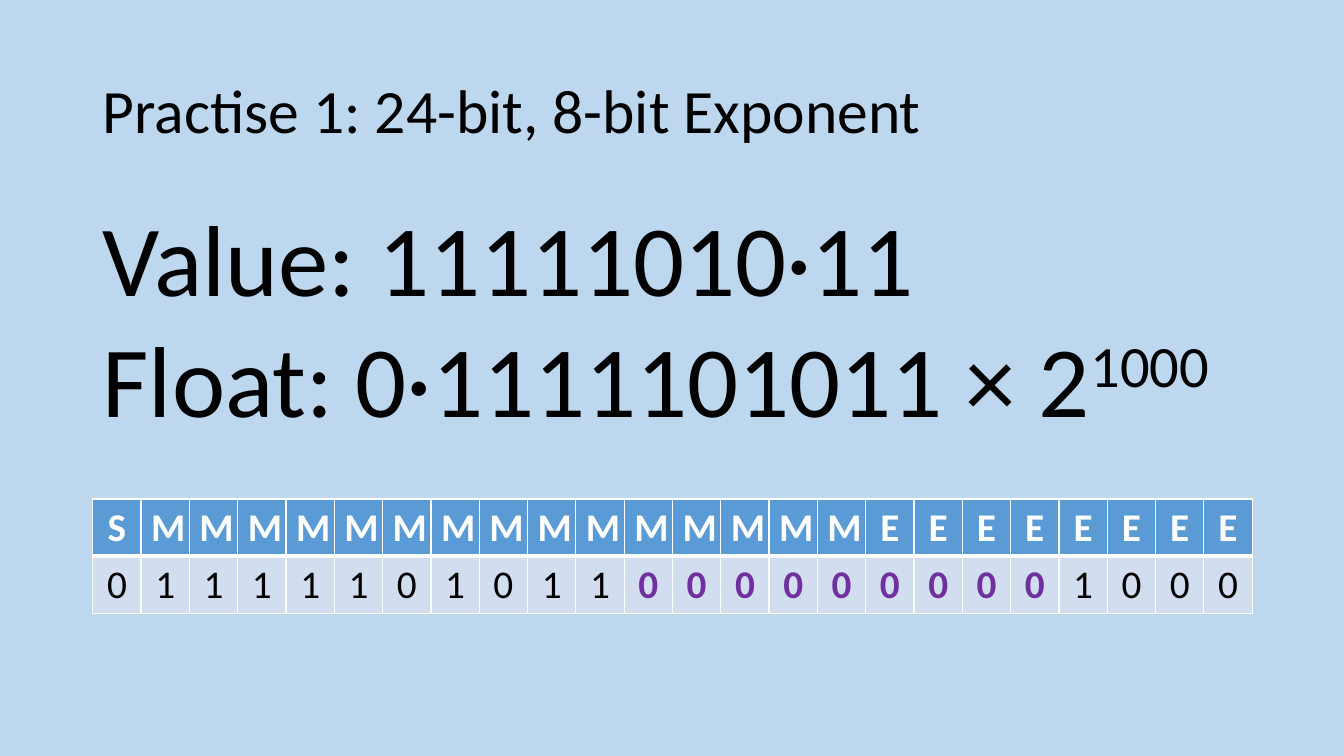
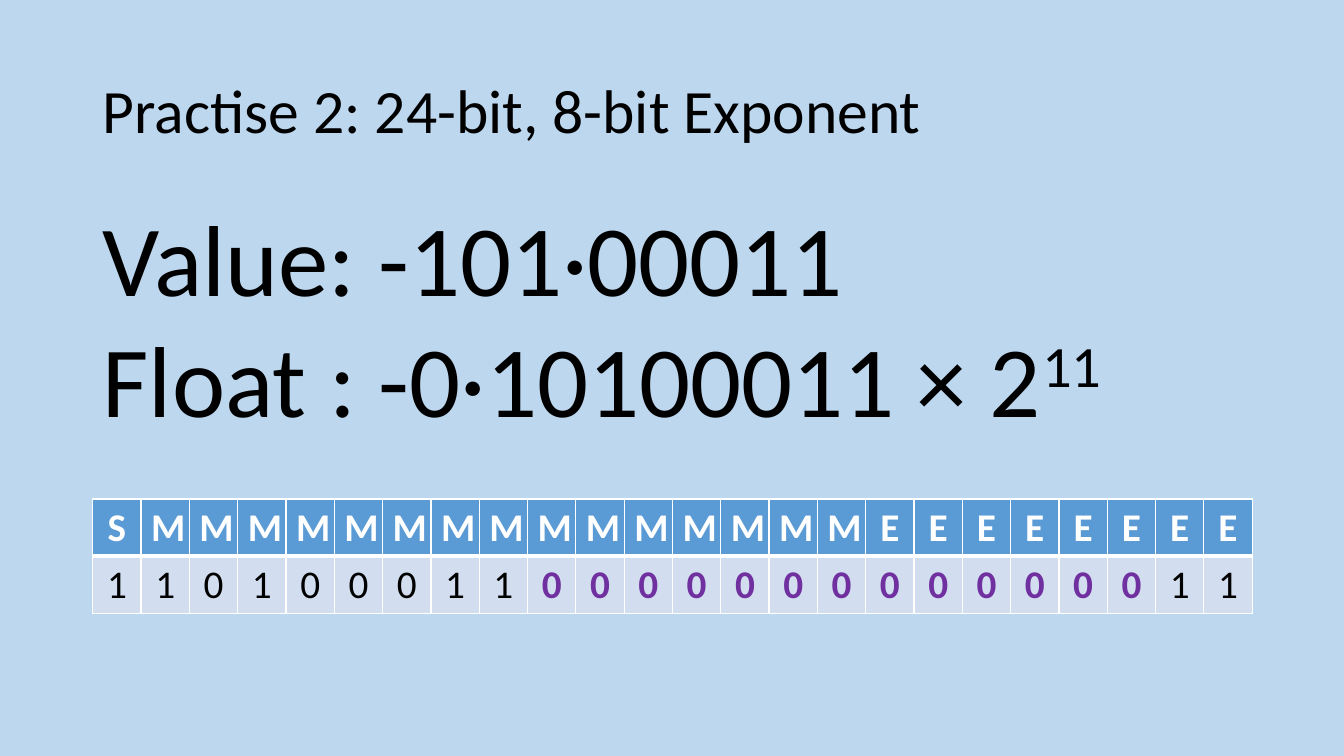
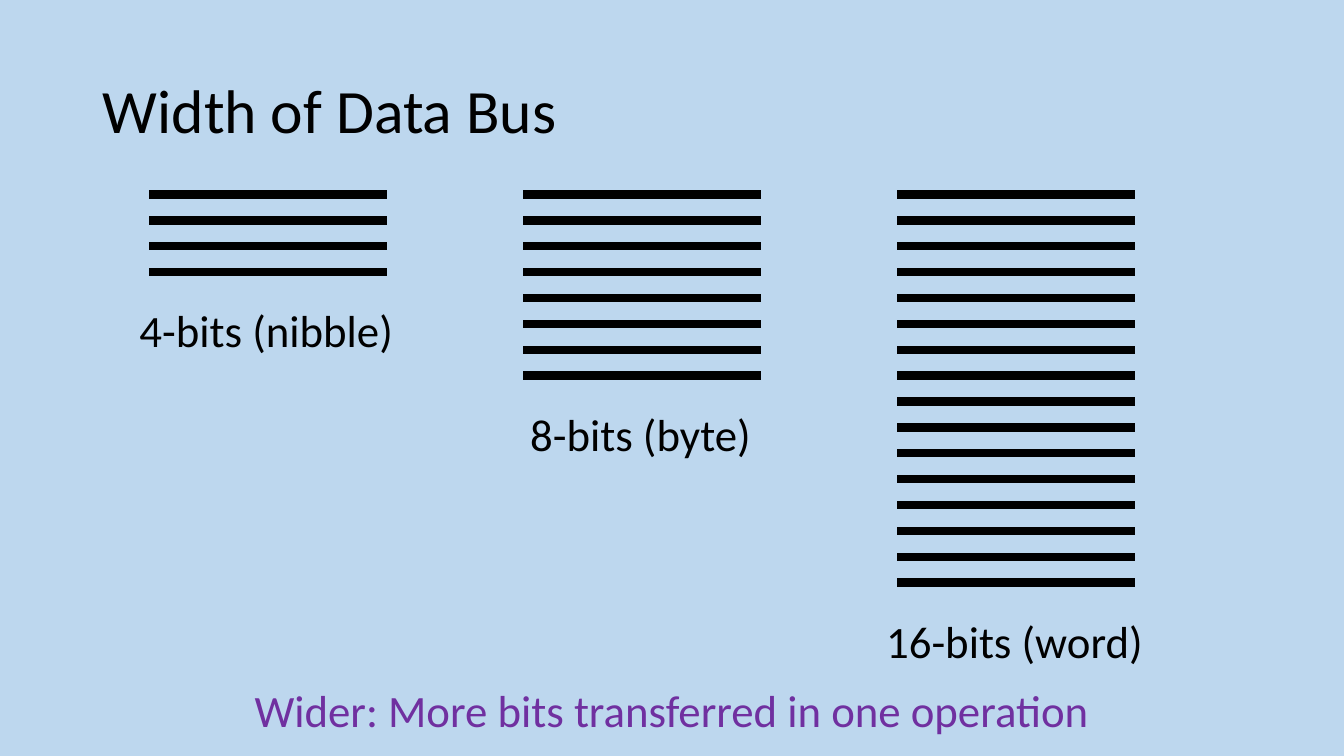
from lxml import etree
from pptx import Presentation
from pptx.dml.color import RGBColor
from pptx.enum.shapes import MSO_CONNECTOR
from pptx.enum.text import MSO_ANCHOR, MSO_AUTO_SIZE, PP_ALIGN
from pptx.oxml.ns import qn
from pptx.util import Inches, Pt

LEFT, CENTER = PP_ALIGN.LEFT, PP_ALIGN.CENTER
MIDDLE = MSO_ANCHOR.MIDDLE
FIXED, GROW = MSO_AUTO_SIZE.NONE, MSO_AUTO_SIZE.SHAPE_TO_FIT_TEXT
STRAIGHT = MSO_CONNECTOR.STRAIGHT
TITLE_ONLY = 5

FONT = "Calibri"
BACKGROUND, BLACK, WHITE, PURPLE = "BDD7EE", "000000", "FFFFFF", "7030A0"
HEADER_FILL, BODY_FILL = "5B9BD5", "D2DEEF"
MARGIN, CONTENT_WIDTH = 0.92, 11.5

BIT_NAMES = "S" + "M" * 15 + "E" * 8
BUS_TOP, BUS_WIDTH, BUS_STEP = 1.93, 2.36, 3.71
WIRE_GAP = 3.85 / 15


def color(value):
    return RGBColor.from_string(value)


def write(paragraph, text, size=32, fill=BLACK, bold=False, align=LEFT, superscript=False):
    paragraph.alignment = align
    run = paragraph.add_run()
    run.text = text
    run.font.name = FONT
    run.font.size = Pt(size)
    run.font.bold = bold
    run.font.color.rgb = color(fill)
    if superscript:
        run._r.get_or_add_rPr().set("baseline", "30000")


def set_borders(cell, bottom):
    """Give the cell white borders, 1 point wide except for the bottom one."""
    properties = cell._tc.get_or_add_tcPr()
    widths = {"a:lnL": 1, "a:lnR": 1, "a:lnT": 1, "a:lnB": bottom}
    for position, (tag, width) in enumerate(widths.items()):
        line = etree.Element(qn(tag), w=str(Pt(width)))
        fill = etree.SubElement(line, qn("a:solidFill"))
        etree.SubElement(fill, qn("a:srgbClr"), val=WHITE)
        properties.insert(position, line)


class Deck:
    def __init__(self):
        self.presentation = Presentation()
        self.presentation.slide_width = Inches(13.33)
        self.presentation.slide_height = Inches(7.5)
        background = self.presentation.slide_master.background.fill
        background.solid()
        background.fore_color.rgb = color(BACKGROUND)
        self.slide = None

    def add_slide(self, title):
        layout = self.presentation.slide_layouts[TITLE_ONLY]
        self.slide = self.presentation.slides.add_slide(layout)
        shape = self.slide.shapes.title
        shape.left, shape.top = Inches(MARGIN), Inches(0.4)
        shape.width, shape.height = Inches(CONTENT_WIDTH), Inches(1.45)
        frame = shape.text_frame
        frame.auto_size = FIXED
        frame.vertical_anchor = MIDDLE
        frame.paragraphs[0].line_spacing = 0.9
        write(frame.paragraphs[0], title, size=44)

    def add_text_box(self, left, top, width, height, wrap=False):
        box = self.slide.shapes.add_textbox(
            Inches(left), Inches(top), Inches(width), Inches(height))
        box.text_frame.word_wrap = wrap
        box.text_frame.auto_size = GROW
        return box.text_frame

    def add_label(self, text, left, top, width, wrap=False, **text_format):
        frame = self.add_text_box(left, top, width, 0.64, wrap)
        write(frame.paragraphs[0], text, **text_format)

    def add_numbers(self, value, mantissa, exponent, width):
        frame = self.add_text_box(MARGIN, 1.89, width, 2.52)
        write(frame.paragraphs[0], value, size=72)
        float_line = frame.add_paragraph()
        write(float_line, mantissa, size=72)
        write(float_line, exponent, size=72, superscript=True)

    def add_bit_table(self, leading, trailing):
        """Show the bits under their names, padded between with purple zeros."""
        count = len(BIT_NAMES)
        padding_end = count - len(trailing)
        bits = leading.ljust(padding_end, "0") + trailing
        table = self.slide.shapes.add_table(
            2, count, Inches(MARGIN), Inches(4.95),
            Inches(CONTENT_WIDTH), Inches(1.13)).table
        for index, (name, bit) in enumerate(zip(BIT_NAMES, bits)):
            table.columns[index].width = Inches(CONTENT_WIDTH / count)
            padding = len(leading) <= index < padding_end
            self.fill_cell(table.cell(0, index), name, HEADER_FILL, 3,
                           fill=WHITE, bold=True)
            self.fill_cell(table.cell(1, index), bit, BODY_FILL, 1,
                           fill=PURPLE if padding else BLACK, bold=padding)

    def fill_cell(self, cell, text, cell_fill, bottom, **text_format):
        cell.fill.solid()
        cell.fill.fore_color.rgb = color(cell_fill)
        set_borders(cell, bottom)
        write(cell.text_frame.paragraphs[0], text, size=28, align=CENTER, **text_format)

    def add_bus(self, left, wires, label, label_width):
        group = self.slide.shapes.add_group_shape()
        for index in range(wires):
            y = Inches(BUS_TOP + index * WIRE_GAP)
            wire = group.shapes.add_connector(
                STRAIGHT, Inches(left), y, Inches(left + BUS_WIDTH), y)
            wire.line.color.rgb = color(BLACK)
            wire.line.width = Pt(6)
            etree.SubElement(wire._element.spPr, qn("a:effectLst"))
        self.add_label(label, left + (BUS_WIDTH - label_width) / 2,
                       BUS_TOP + wires * WIRE_GAP, label_width)


def main():
    deck = Deck()
    exercises = [
        ("Value: 11111010·11", "Float: 0·1111101011 × 2", "1000", 11.46, "01111101011"),
        ("Value: -101·00011", "Float : -0·10100011 × 2", "11", 10.29, "110100011"),
    ]
    for number, (value, mantissa, exponent, width, leading) in enumerate(exercises, 1):
        deck.add_slide(f"Practise {number}: 24-bit, 8-bit Exponent")
        deck.add_numbers(value, mantissa, exponent, width)
        deck.add_bit_table(leading, exponent)

    deck.add_slide("Width of Data Bus")
    buses = [(4, "4-bits (nibble)", 2.75), (8, "8-bits (byte)", 2.42),
             (16, "16-bits (word)", 2.78)]
    for index, (wires, label, label_width) in enumerate(buses):
        deck.add_bus(1.48 + index * BUS_STEP, wires, label, label_width)
    deck.add_label("Wider: More bits transferred in one operation", 2.28, 6.72, 8.77,
                   wrap=True, fill=PURPLE, align=CENTER)
    deck.presentation.save("out.pptx")


if __name__ == "__main__":
    main()
